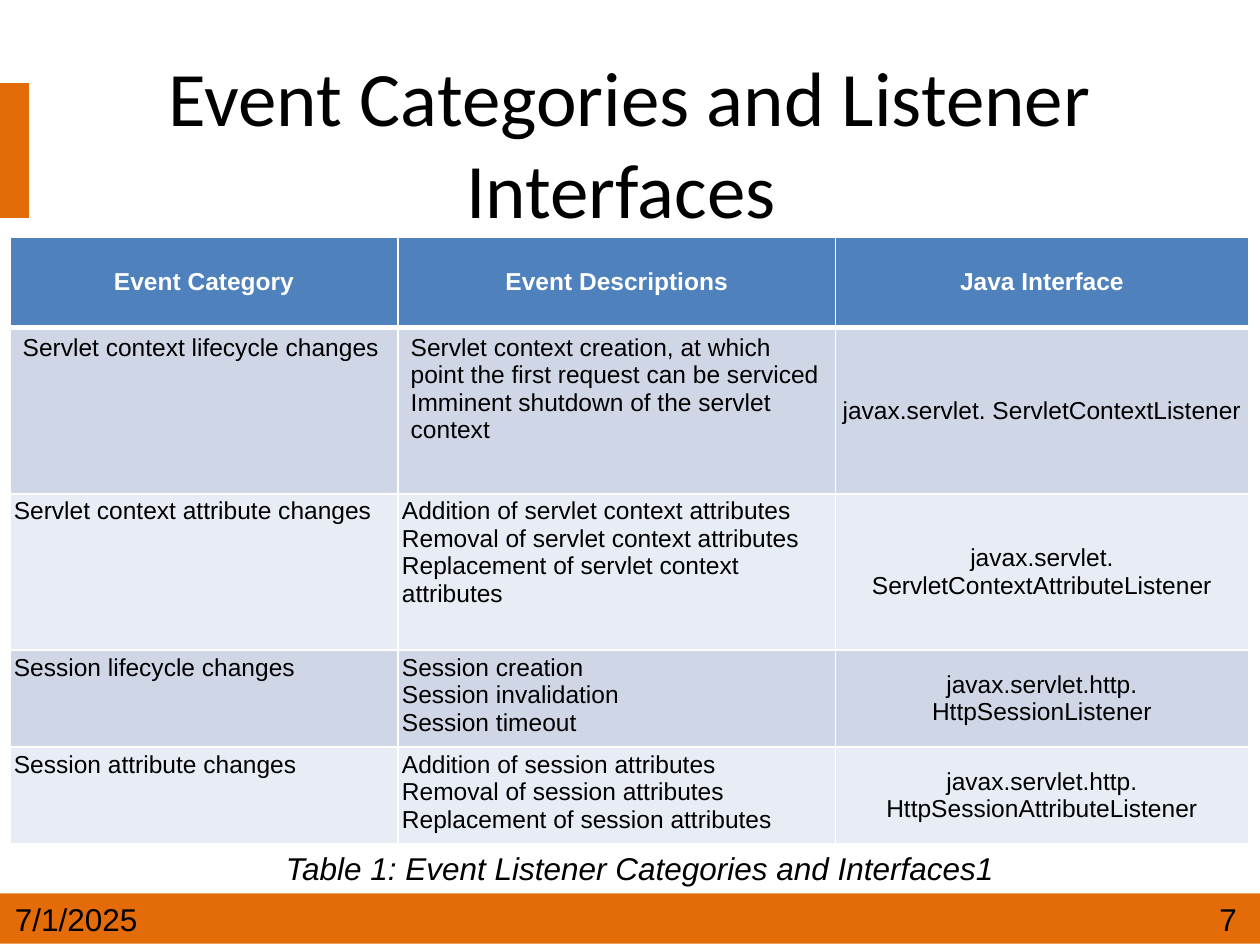
from lxml import etree
from pptx import Presentation
from pptx.dml.color import RGBColor
from pptx.enum import shapes, text
from pptx.oxml.ns import qn
from pptx.util import Inches, Pt

# Content
TITLE = "Event Categories and Listener Interfaces "
CAPTION = "Table 1: Event Listener Categories and Interfaces1"
DATE, NUMBER = "7/1/2025", "7"
HEADER = ["Event Category", "Event Descriptions", "Java Interface"]
ROWS = [
    ("Servlet context lifecycle changes",
     ["Servlet context creation, at which point the first request can be serviced",
      "Imminent shutdown of the servlet context"],
     "javax.servlet. ServletContextListener"),
    ("Servlet context attribute changes",
     ["Addition of servlet context attributes",
      "Removal of servlet context attributes",
      "Replacement of servlet context attributes"],
     "javax.servlet. ServletContextAttributeListener"),
    ("Session lifecycle changes",
     ["Session creation", "Session invalidation", "Session timeout"],
     "javax.servlet.http. HttpSessionListener"),
    ("Session attribute changes",
     ["Addition of session attributes",
      "Removal of session attributes",
      "Replacement of session attributes"],
     "javax.servlet.http. HttpSessionAttributeListener"),
]
COL_WIDTHS = [3.08, 3.47, 3.28]
ROW_HEIGHTS = [0.72, 1.32, 1.24, 0.77, 0.77]

ORANGE, BLUE, WHITE, BLACK = "E36C09", "4F81BD", "FFFFFF", "000000"
BANDS = ["CFD7E7", "E8ECF4"]
CENTER, MIDDLE = text.PP_ALIGN.CENTER, text.MSO_ANCHOR.MIDDLE


def rgb(color):
    return RGBColor.from_string(color)


def style(p, size, name="Arial", color=BLACK, bold=False, italic=False, align=None):
    f = p.font
    f.size, f.name, f.bold, f.italic = Pt(size), name, bold, italic
    f.color.rgb = rgb(color)
    p.alignment = align


def add_bar(s, *box):
    sp = s.shapes.add_shape(shapes.MSO_SHAPE.RECTANGLE, *map(Inches, box))
    sp.shadow.inherit = False
    sp.fill.solid()
    sp.fill.fore_color.rgb = rgb(ORANGE)
    sp.line.fill.background()


def add_text(s, box, content, size=18, anchor=text.MSO_ANCHOR.TOP, **font):
    tf = s.shapes.add_textbox(*map(Inches, box)).text_frame
    tf.word_wrap = True
    tf.vertical_anchor = anchor
    tf.text = content
    style(tf.paragraphs[0], size, **font)


def set_borders(cell, widths):
    tc_pr = cell._tc.get_or_add_tcPr()
    for side, width in widths.items():
        ln = etree.SubElement(tc_pr, qn("a:ln" + side), w=str(Pt(width)))
        fill = etree.SubElement(ln, qn("a:solidFill"))
        etree.SubElement(fill, qn("a:srgbClr"), val=WHITE)


def fill_cell(cell, lines, row, col):
    header = row == 0
    centered = header or col == 2
    # The first body row has wider margins in its left-aligned cells
    wide = row == 1 and not centered
    cell.margin_left = cell.margin_right = Inches(0.1 if wide else 0.03)
    cell.margin_top = cell.margin_bottom = Inches(0.05 if wide else 0.03)
    cell.vertical_anchor = MIDDLE if centered else text.MSO_ANCHOR.TOP
    set_borders(cell, {"L": 1, "R": 1, "T": 3 if row == 1 else 1, "B": 3 if header else 1})
    cell.fill.solid()
    cell.fill.fore_color.rgb = rgb(BLUE if header else BANDS[(row - 1) % 2])
    cell.text = "\n".join(lines)
    for p in cell.text_frame.paragraphs:
        style(p, 14, color=WHITE if header else BLACK, bold=header,
              align=CENTER if centered else text.PP_ALIGN.LEFT)


prs = Presentation()
prs.slide_width, prs.slide_height = Inches(10), Inches(7.5)
s = prs.slides.add_slide(prs.slide_layouts[6])

# Footer bar and side accent
add_bar(s, 0, 7.09, 10, 0.4)
add_bar(s, 0, 0.66, 0.23, 1.07)

# Caption and title
add_text(s, (2.17, 6.69, 7.75, 0.4), CAPTION, italic=True)
add_text(s, (0.5, 0.5, 9, 1.25), TITLE, 44, MIDDLE, name="Calibri", align=CENTER)

# Event table
table = s.shapes.add_table(
    len(ROW_HEIGHTS), len(COL_WIDTHS), Inches(0.08), Inches(1.88),
    Inches(sum(COL_WIDTHS)), Inches(sum(ROW_HEIGHTS))).table
for column, width in zip(table.columns, COL_WIDTHS):
    column.width = Inches(width)
for row, height in zip(table.rows, ROW_HEIGHTS):
    row.height = Inches(height)
for r, values in enumerate([HEADER, *ROWS]):
    for c, value in enumerate(values):
        fill_cell(table.cell(r, c), [value] if isinstance(value, str) else value, r, c)

# Date and slide number
add_text(s, (0.02, 7.09, 1.52, 0.4), DATE)
add_text(s, (9.58, 7.09, 0.42, 0.4), NUMBER)

prs.save("out.pptx")
